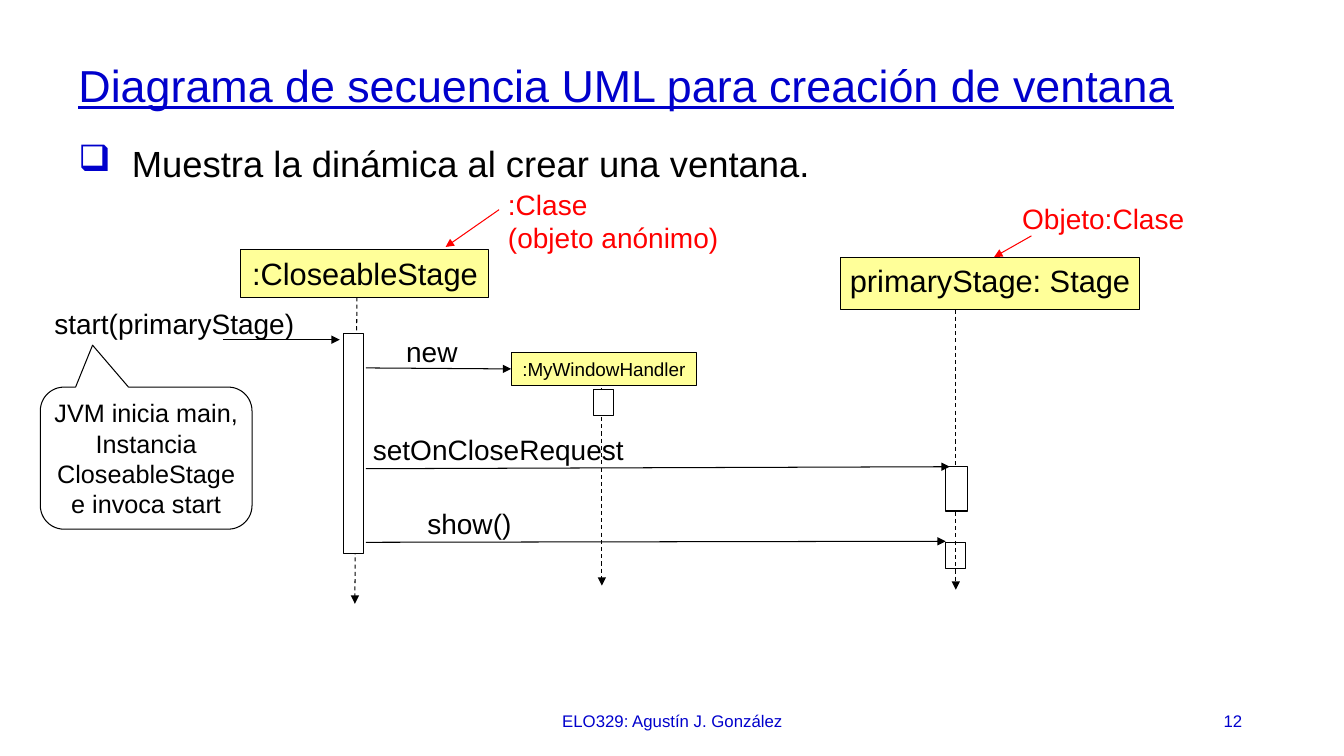
"""Builds a slide with a UML sequence diagram of how a window is created."""
from lxml import etree
from pptx import Presentation, util as u
from pptx.dml.color import RGBColor
from pptx.enum import dml, shapes, text
from pptx.oxml.ns import qn

BLUE, BLACK, RED, YELLOW, WHITE = "0000CC", "000000", "FF0000", "FFFF99", "FFFFFF"
LEFT, CENTER, RIGHT = text.PP_ALIGN.LEFT, text.PP_ALIGN.CENTER, text.PP_ALIGN.RIGHT
TOP, MIDDLE = text.MSO_ANCHOR.TOP, text.MSO_ANCHOR.MIDDLE
RECTANGLE = shapes.MSO_SHAPE.RECTANGLE

TITLE = "Diagrama de secuencia UML para creación de ventana"
POINT = "Muestra la dinámica al crear una ventana."
FOOTERS = [("ELO329: Agustín J. González", (4.42, 6.95, 4.5, 0.4), CENTER),
           ("12", (9.42, 6.95, 3, 0.4), RIGHT)]
PARTICIPANTS = [(":CloseableStage", (2.39, 2.48, 2.46, 0.47), 22),
                ("primaryStage: Stage", (8.34, 2.55, 2.96, 0.52), 22),
                (":MyWindowHandler", (5.07, 3.5, 1.84, 0.33), 13.5)]
LIFELINES = [(3.54, 2.95, 3.52, 5.99), (9.48, 3.07, 9.48, 5.85), (5.97, 3.85, 5.97, 5.81)]
SHOW_ACTIVATION = (9.38, 5.38, 0.2, 0.26)
ACTIVATIONS = [(3.41, 3.31, 0.2, 2.18), (5.89, 3.86, 0.2, 0.26), (9.38, 4.63, 0.22, 0.44)]
MESSAGES = [("start(primaryStage)", (0.44, 2.99), (2.21, 3.37, 3.37, 3.37)),
            ("new", (3.93, 3.27), (3.63, 3.65, 5.07, 3.66)),
            ("setOnCloseRequest", (3.6, 4.24), (3.63, 4.65, 9.42, 4.63)),
            ("show()", (4.14, 4.98), (3.63, 5.38, 9.38, 5.37))]
NOTES = [(":Clase\n(objeto anónimo)", (4.94, 1.81), (4.95, 2.08, 4.42, 2.45)),
         ("Objeto:Clase", (10.04, 1.95), (10.23, 2.34, 9.86, 2.55))]
CALLOUT = "JVM inicia main, Instancia CloseableStage\ne invoca start"
LABEL_SIZE = (2.8, 0.44)

deck = Presentation()
deck.slide_width, deck.slide_height = u.Inches(13.33), u.Inches(7.5)
slide = deck.slides.add_slide(deck.slide_layouts[6])


def rgb(color):
    return RGBColor.from_string(color)


def inches(lengths):
    return [u.Inches(length) for length in lengths]


def write(holder, words, size, color=BLACK, align=LEFT, anchor=TOP, wrap=True):
    frame = holder.text_frame
    frame.word_wrap, frame.vertical_anchor = wrap, anchor
    paragraph = frame.paragraphs[0]
    paragraph.text, paragraph.alignment = words, align
    font = paragraph.font
    font.name, font.size, font.color.rgb = "Arial", u.Pt(size), rgb(color)
    return paragraph


def label(words, area, size, **style):
    return write(slide.shapes.add_textbox(*inches(area)), words, size, **style)


def block(area, fill=None, preset=RECTANGLE):
    shape = slide.shapes.add_shape(preset, *inches(area))
    shape.shadow.inherit = False
    if fill:
        shape.fill.solid()
        shape.fill.fore_color.rgb = rgb(fill)
    else:
        shape.fill.background()
    shape.line.color.rgb, shape.line.width = rgb(BLACK), u.Pt(0.75)
    return shape


def arrow(ends, color=BLACK, dashed=False):
    link = slide.shapes.add_connector(shapes.MSO_CONNECTOR.STRAIGHT, *inches(ends))
    link.line.color.rgb, link.line.width = rgb(color), u.Pt(0.75)
    if dashed:
        link.line.dash_style = dml.MSO_LINE.DASH
    etree.SubElement(link.line._get_or_add_ln(), qn("a:tailEnd"), type="triangle")
    etree.SubElement(link._element.spPr, qn("a:effectLst"))


title = label(TITLE, (0.68, 0.4, 12.37, 0.95), 32, color=BLUE, anchor=MIDDLE)
title.font.underline, title.line_spacing = True, 0.9

point = label(POINT, (0.68, 1.35, 12.08, 0.84), 26)
point.space_before = point.space_after = u.Pt(4)
bullet = point._p.get_or_add_pPr()
bullet.set("marL", str(u.Inches(0.53)))
bullet.set("indent", str(-u.Inches(0.53)))
bullet_color = etree.Element(qn("a:buClr"))
etree.SubElement(bullet_color, qn("a:srgbClr"), val=BLUE)
bullet_mark = etree.Element(qn("a:buChar"), char="❑")
for part in (bullet_color, bullet_mark):
    bullet.find(qn("a:defRPr")).addprevious(part)

for words, area, align in FOOTERS:
    label(words, area, 12, color=BLUE, align=align, anchor=MIDDLE)

block(SHOW_ACTIVATION, WHITE)
for ends in LIFELINES:
    arrow(ends, dashed=True)
for area in ACTIVATIONS:
    block(area, WHITE)
for words, area, size in PARTICIPANTS:
    write(block(area, YELLOW), words, size, align=CENTER, wrap=False)

for calls, color in ((MESSAGES, BLACK), (NOTES, RED)):
    for words, corner, ends in calls:
        label(words, corner + LABEL_SIZE, 20, color=color)
        arrow(ends, color)

callout = block((0.4, 3.84, 2.1, 1.41), preset=shapes.MSO_SHAPE.ROUNDED_RECTANGULAR_CALLOUT)
for index, share in enumerate((-0.253, -0.795, 0.167)):
    callout.adjustments[index] = share
frame = callout.text_frame
frame.margin_left = frame.margin_right = frame.margin_top = frame.margin_bottom = u.Inches(0.04)
write(callout, CALLOUT, 18, align=CENTER, anchor=MIDDLE)

deck.save("out.pptx")
